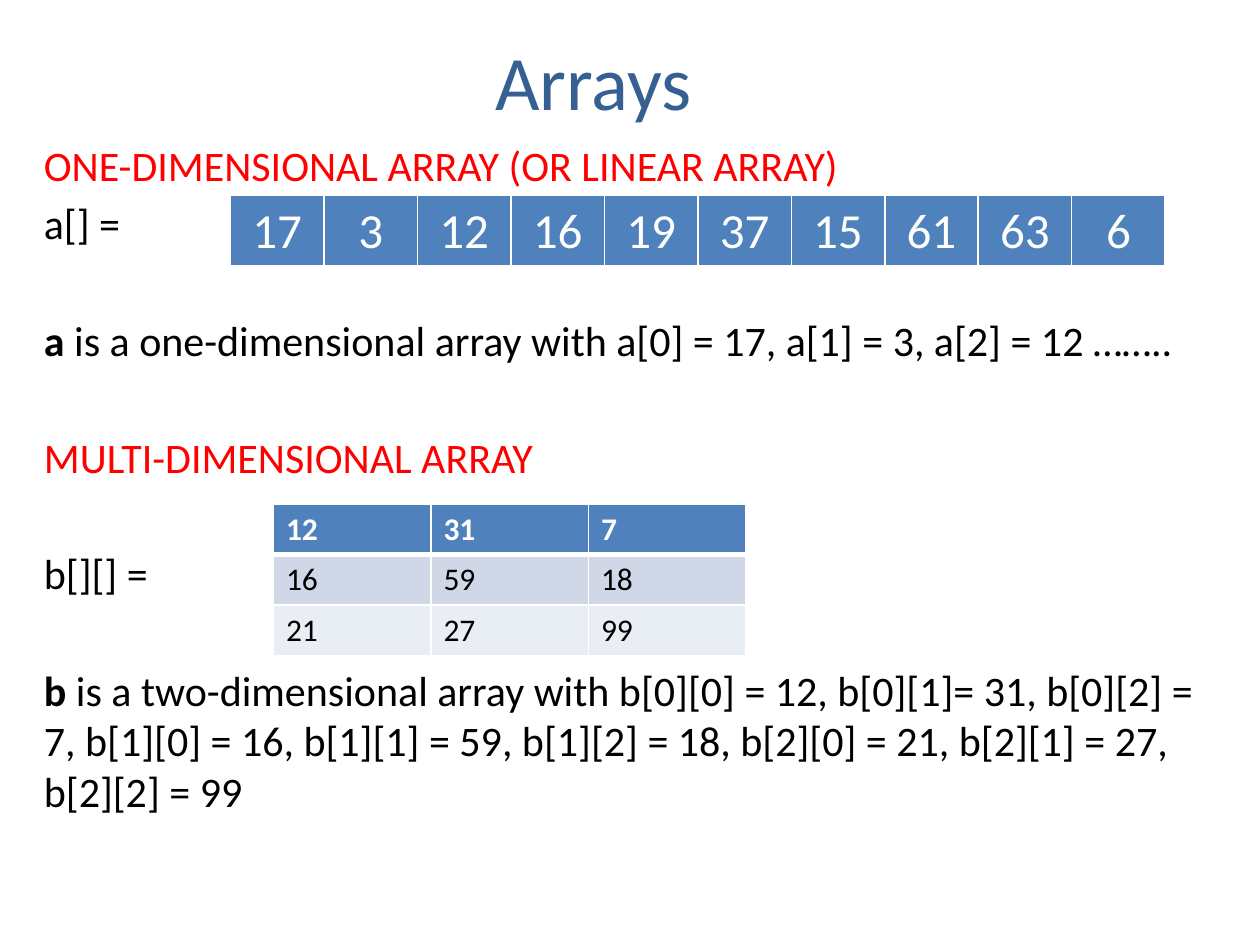
from dataclasses import dataclass

from lxml import etree
from pptx import Presentation
from pptx.dml.color import RGBColor
from pptx.enum.text import MSO_ANCHOR, PP_ALIGN
from pptx.oxml.ns import qn
from pptx.util import Inches, Pt

CENTER, LEFT = PP_ALIGN.CENTER, PP_ALIGN.LEFT
TOP, MIDDLE = MSO_ANCHOR.TOP, MSO_ANCHOR.MIDDLE
FONT = "Calibri"
WIDE, HIGH = 10, 7.5
NAVY, BLUE, RED = "376092", "4F81BD", "FF0000"
BLACK, WHITE = "000000", "FFFFFF"
BANDS = [BLUE, "D0D8E8", "E9EDF4"]
STEP, GAP = 33.6, 4.3  # points: one line with its gap, and the gap alone


@dataclass
class Line:
    text: str
    color: str = BLACK
    skip: int = 0  # free lines above
    lead: str = ""  # bold opening


@dataclass
class Grid:
    left: float
    top: float
    col: float
    row: float
    size: int
    align: PP_ALIGN
    bold: bool
    rows: list[list[int]]


LINES = [
    Line("ONE-DIMENSIONAL ARRAY (OR LINEAR ARRAY)", RED),
    Line("a[] ="),
    Line(" is a one-dimensional array with a[0] = 17, a[1] = 3, a[2] = 12 ……..",
         skip=1, lead="a"),
    Line("MULTI-DIMENSIONAL ARRAY", RED, skip=1),
    Line("b[][] =", skip=1),
    Line("is a two-dimensional array with b[0][0] = 12, b[0][1]= 31, "
         "b[0][2] = 7, b[1][0] = 16, b[1][1] = 59, b[1][2] = 18, "
         "b[2][0] = 21, b[2][1] = 27, b[2][2] = 99", skip=1, lead="b "),
]
GRIDS = [
    Grid(1.83, 1.55, 0.742, 0.57, 28, CENTER, False,
         [[17, 3, 12, 16, 19, 37, 15, 61, 63, 6]]),
    Grid(2.17, 4, 1.25, 0.4, 18, LEFT, True,
         [[12, 31, 7], [16, 59, 18], [21, 27, 99]]),
]


def rgb(color: str) -> RGBColor:
    return RGBColor.from_string(color)


def style(run, size: int, color: str, bold: bool = False) -> None:
    font = run.font
    font.name, font.size, font.bold = FONT, Pt(size), bold
    font.color.rgb = rgb(color)


def add_box(slide, left: float, top: float, wide: float, high: float, anchor):
    box = slide.shapes.add_textbox(
        Inches(left), Inches(top), Inches(wide), Inches(high))
    frame = box.text_frame
    frame.word_wrap = True
    frame.vertical_anchor = anchor
    return frame


def add_edges(cell, row: int) -> None:
    """White cell borders, heavy between the top row and the next."""
    widths = {"L": 1, "R": 1, "T": 3 if row == 1 else 1, "B": 3 if row == 0 else 1}
    props = cell._tc.get_or_add_tcPr()
    for side, width in widths.items():
        edge = etree.SubElement(props, qn(f"a:ln{side}"), w=str(Pt(width)))
        fill = etree.SubElement(edge, qn("a:solidFill"))
        etree.SubElement(fill, qn("a:srgbClr"), val=WHITE)


def add_grid(slide, grid: Grid) -> None:
    rows, cols = len(grid.rows), len(grid.rows[0])
    table = slide.shapes.add_table(
        rows, cols, Inches(grid.left), Inches(grid.top),
        Inches(grid.col * cols), Inches(grid.row * rows)).table
    table.first_row = table.horz_banding = False
    for r, values in enumerate(grid.rows):
        for c, value in enumerate(values):
            cell = table.cell(r, c)
            add_edges(cell, r)
            cell.fill.solid()
            cell.fill.fore_color.rgb = rgb(BANDS[r])
            cell.text_frame.text = str(value)
            para = cell.text_frame.paragraphs[0]
            para.alignment = grid.align
            head = r == 0
            style(para.runs[0], grid.size, WHITE if head else BLACK,
                  head and grid.bold)


def add_lines(frame, lines: list[Line]) -> None:
    for i, line in enumerate(lines):
        para = frame.add_paragraph() if i else frame.paragraphs[0]
        para.space_before = Pt(GAP + STEP * line.skip if i else 0)
        para.text = line.lead or line.text
        style(para.runs[0], 24, line.color, bool(line.lead))
        if line.lead:
            run = para.add_run()
            run.text = line.text
            style(run, 24, line.color)


def main() -> None:
    deck = Presentation()
    deck.slide_width, deck.slide_height = Inches(WIDE), Inches(HIGH)
    slide = deck.slides.add_slide(deck.slide_layouts[6])

    # Title
    title = add_box(slide, 0.5, 0.17, 8.42, 0.92, MIDDLE)
    title.text = "Arrays"
    title.paragraphs[0].alignment = CENTER
    style(title.paragraphs[0].runs[0], 44, NAVY)

    # Body text
    add_lines(add_box(slide, 0.25, 1.06, 9.58, 6.1, TOP), LINES)

    # Array tables
    for grid in GRIDS:
        add_grid(slide, grid)

    deck.save("out.pptx")


if __name__ == "__main__":
    main()
